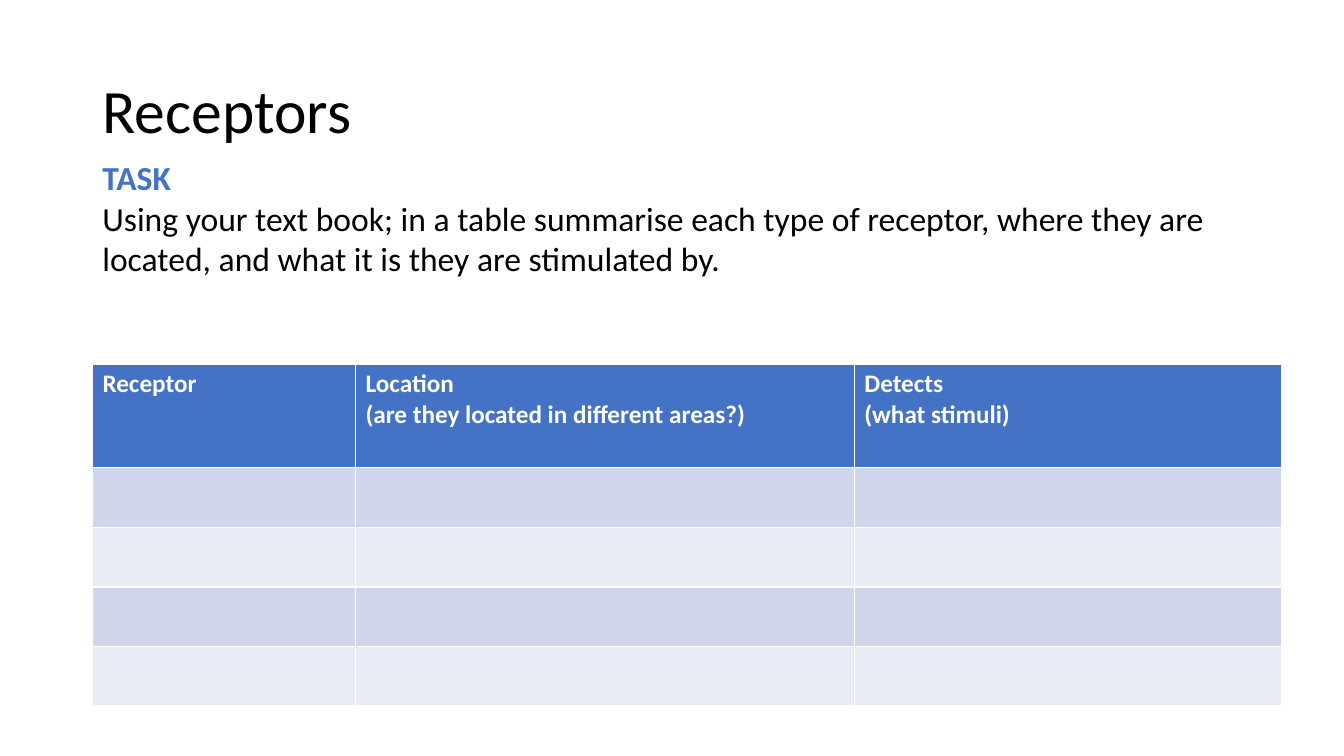
from pptx import Presentation
from pptx.dml.color import RGBColor
from pptx.enum.text import MSO_ANCHOR, PP_ALIGN
from pptx.util import Cm, Pt


def set_font(font, size, color, bold=False):
    font.name = "Calibri"
    font.size = Pt(size)
    font.bold = bold
    font.color.rgb = RGBColor.from_string(color)


BLUE = "4472C4"
BANDS = ["CFD5EA", "E9EBF5"]
LEFT = Cm(2.33)
TEXT_WIDTH = Cm(29.21)

presentation = Presentation()
presentation.slide_width = Cm(33.87)
presentation.slide_height = Cm(19.05)
slide = presentation.slides.add_slide(presentation.slide_layouts[5])

title = slide.shapes.title
title.left, title.top, title.width, title.height = LEFT, Cm(1.01), TEXT_WIDTH, Cm(3.68)
title.text_frame.text = "Receptors"
title.text_frame.vertical_anchor = MSO_ANCHOR.MIDDLE
paragraph = title.text_frame.paragraphs[0]
paragraph.alignment = PP_ALIGN.LEFT
paragraph.line_spacing = 0.9
set_font(paragraph.font, 44, "000000")

column_widths = [6.63, 12.57, 10.77]
row_heights = [2.62] + [1.5] * 4
headers = [
    "Receptor",
    "Location\v(are they located in different areas?)",
    "Detects\v(what stimuli)",
]
table = slide.shapes.add_table(
    len(row_heights), len(headers), LEFT, Cm(9.17),
    Cm(sum(column_widths)), Cm(sum(row_heights)),
).table
for column, width in zip(table.columns, column_widths):
    column.width = Cm(width)
for row_index, height in enumerate(row_heights):
    row = table.rows[row_index]
    row.height = Cm(height)
    color = BANDS[(row_index - 1) % 2] if row_index else BLUE
    for cell in row.cells:
        cell.fill.solid()
        cell.fill.fore_color.rgb = RGBColor.from_string(color)
for cell, header in zip(table.rows[0].cells, headers):
    cell.text_frame.text = header
    set_font(cell.text_frame.paragraphs[0].font, 18, "FFFFFF", True)

task = slide.shapes.add_textbox(LEFT, Cm(3.84), TEXT_WIDTH, Cm(4.37))
task.text_frame.word_wrap = True
task.text_frame.text = (
    "TASK\nUsing your text book; in a table summarise each type of receptor, "
    "where they are located, and what it is they are stimulated by."
)
heading, instruction = task.text_frame.paragraphs
set_font(heading.font, 24, BLUE, True)
set_font(instruction.font, 24, "000000")

presentation.save("out.pptx")
